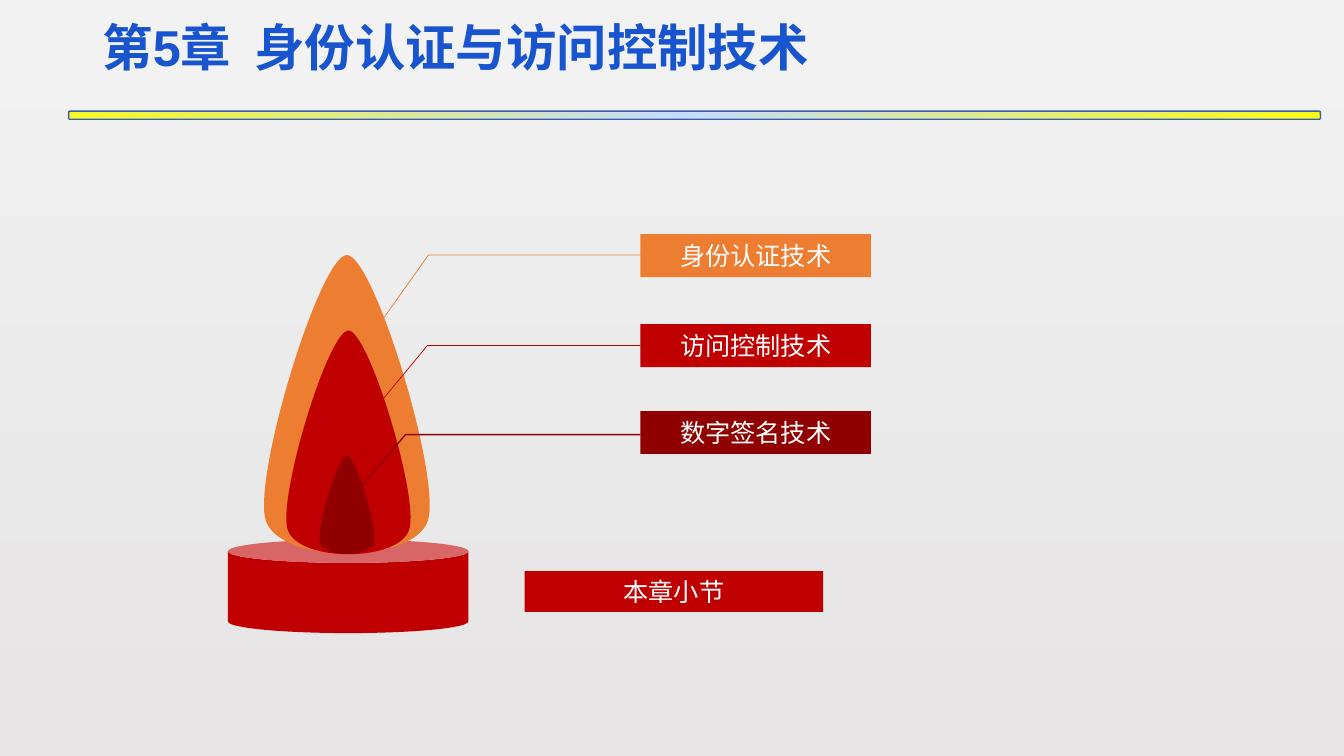
from dataclasses import dataclass

from lxml import etree
from pptx import Presentation
from pptx.dml.color import RGBColor
from pptx.enum.shapes import MSO_SHAPE
from pptx.enum.text import MSO_ANCHOR, PP_ALIGN
from pptx.oxml import parse_xml
from pptx.oxml.ns import nsdecls, qn
from pptx.util import Pt

RECTANGLE = MSO_SHAPE.RECTANGLE
ROUNDED = MSO_SHAPE.ROUNDED_RECTANGLE
CAN = MSO_SHAPE.CAN
MIDDLE = MSO_ANCHOR.MIDDLE
TOP = MSO_ANCHOR.TOP
LEFT = PP_ALIGN.LEFT
CENTER = PP_ALIGN.CENTER


@dataclass(frozen=True)
class Theme:
    """Colours, font and type sizes of the slide."""

    title: str = "1754CD"
    label: str = "FFFFFF"
    orange: str = "ED7D31"
    red: str = "C00000"
    dark_red: str = "900000"
    rule_line: str = "355CAD"
    rule_stops: tuple = ((0, "FBFB11"), (51, "C6DCFF"), (100, "F7F923"))
    backdrop: tuple = ("F2F2F2", "E6E4E4")
    font: str = "Arial"
    title_size: int = 36
    label_size: int = 18


THEME = Theme()
FLAME_WIDTH = 118.2
FLAME_HEIGHT = 213
FLAME_START = (-58, 189.4)
FLAME_CURVES = (
    ((-67.3, 157.7), (-19.1, 0), (0, 0)),
    ((19.1, 0), (67.3, 157.7), (58, 189.4)),
    ((48.2, 221), (-48.2, 221), FLAME_START),
)
FLAMES = (
    (247.8, 182.2, 1, THEME.orange),
    (248.9, 236.1, 0.75, THEME.red),
    (247.9, 325.4, 0.33, THEME.dark_red),
)
LEADERS = (
    ((274.3, 226.8), (306, 182.2), THEME.orange, 0.5),
    ((273.6, 285.1), (305.3, 246.8), THEME.red, 0.5),
    ((257.8, 347.8), (289.6, 310.5), THEME.dark_red, 1),
)
LABEL_LEFT = 457.5
LABELS = (
    ("身份认证技术", 167.3, THEME.orange),
    ("访问控制技术", 231.6, THEME.red),
    ("数字签名技术", 293.6, THEME.dark_red),
)


def apply_format(target, values):
    """Set each named attribute on the target."""
    for name, value in values.items():
        setattr(target, name, value)


def paint(shape, color):
    """Give a shape a flat fill with no outline or shadow."""
    shape.shadow.inherit = False
    shape.fill.solid()
    shape.fill.fore_color.rgb = RGBColor.from_string(color)
    shape.line.fill.background()


def write_text(shape, text, color, size, bold=False, align=CENTER, anchor=MIDDLE):
    """Put one formatted paragraph in a shape."""
    frame = shape.text_frame
    apply_format(frame, {"word_wrap": True, "vertical_anchor": anchor})
    para = frame.paragraphs[0]
    para.alignment = align
    span = para.add_run()
    span.text = text
    apply_format(span.font, {"name": THEME.font, "size": Pt(size), "bold": bold})
    span.font.color.rgb = RGBColor.from_string(color)


def add_block(slide, kind, left, top, width, height, color):
    """Add a flat preset shape."""
    block = slide.shapes.add_shape(kind, Pt(left), Pt(top), Pt(width), Pt(height))
    paint(block, color)
    return block


def add_label(slide, text, left, top, width, height, color, anchor=MIDDLE):
    """Add a coloured box with a centred label."""
    box = add_block(slide, RECTANGLE, left, top, width, height, color)
    write_text(box, text, THEME.label, THEME.label_size, anchor=anchor)


def add_outline(slide, points, close):
    """Add a freeform through points given in points of length."""
    corners = [(Pt(x), Pt(y)) for x, y in points]
    builder = slide.shapes.build_freeform(*corners[0])
    builder.add_line_segments(corners[1:], close=close)
    return builder.convert_to_shape()


def add_command(outline, name, points, scale):
    """Append a drawing command with flame points to an outline."""
    command = etree.SubElement(outline, qn(name))
    for x, y in points:
        across, down = Pt(scale * (x + FLAME_WIDTH / 2)), Pt(scale * y)
        etree.SubElement(command, qn("a:pt"), x=str(int(across)), y=str(int(down)))


def add_flame(slide, center, top, scale, color):
    """Add a curved flame of the given scale with its tip at center and top."""
    left, right = (center + side * scale * FLAME_WIDTH / 2 for side in (-1, 1))
    bottom = top + scale * FLAME_HEIGHT
    frame = ((left, top), (right, top), (right, bottom), (left, bottom))
    flame = add_outline(slide, frame, True)
    outline = flame._element.spPr.find(".//" + qn("a:path"))
    for command in list(outline):
        outline.remove(command)
    add_command(outline, "a:moveTo", (FLAME_START,), scale)
    for curve in FLAME_CURVES:
        add_command(outline, "a:cubicBezTo", curve, scale)
    add_command(outline, "a:close", (), scale)
    paint(flame, color)


def add_leader(slide, start, bend, color, weight):
    """Add a bent line from a flame to its label."""
    leader = add_outline(slide, (start, bend, (LABEL_LEFT, bend[1])), False)
    leader.shadow.inherit = False
    leader.fill.background()
    leader.line.color.rgb = RGBColor.from_string(color)
    leader.line.width = Pt(weight)


def add_title_rule(slide):
    """Add the gradient bar under the title."""
    bar = add_block(slide, ROUNDED, 49, 79.4, 894.2, 5.8, THEME.rule_stops[0][1])
    bar.line.color.rgb = RGBColor.from_string(THEME.rule_line)
    bar.line.width = Pt(1)
    gradient = parse_xml(
        f'<a:gradFill {nsdecls("a")} rotWithShape="1"><a:gsLst/><a:path path="circle">'
        '<a:fillToRect l="100000" t="100000"/></a:path></a:gradFill>'
    )
    for position, color in THEME.rule_stops:
        stop = etree.SubElement(gradient[0], qn("a:gs"), pos=str(position * 1000))
        etree.SubElement(stop, qn("a:srgbClr"), val=color)
    properties = bar._element.spPr
    properties.replace(properties.find(qn("a:solidFill")), gradient)


def add_title(slide, text):
    """Add the chapter title."""
    box = slide.shapes.add_textbox(Pt(66.2), Pt(4.5), Pt(828), Pt(62.6))
    write_text(box, text, THEME.title, THEME.title_size, bold=True, align=LEFT)
    box.text_frame.paragraphs[0].line_spacing = 0.9


def set_backdrop(slide):
    """Fill the slide background from top to bottom."""
    fill = slide.background.fill
    fill.gradient()
    fill.gradient_angle = 270
    for position, (stop, color) in enumerate(zip(fill.gradient_stops, THEME.backdrop)):
        stop.position = position
        stop.color.rgb = RGBColor.from_string(color)


def main():
    """Build the chapter slide and save it."""
    deck = Presentation()
    apply_format(deck, {"slide_width": Pt(960), "slide_height": Pt(540)})
    slide = deck.slides.add_slide(deck.slide_layouts[6])
    set_backdrop(slide)
    add_title_rule(slide)
    add_title(slide, "第5章  身份认证与访问控制技术")
    add_block(slide, CAN, 162.8, 385.4, 171.8, 66.8, THEME.red)
    for flame in FLAMES:
        add_flame(slide, *flame)
    for leader in LEADERS:
        add_leader(slide, *leader)
    for text, top, color in LABELS:
        add_label(slide, text, LABEL_LEFT, top, 164.7, 30.7, color)
    add_label(slide, "本章小节", 374.7, 407.9, 213.2, 29.1, THEME.red, anchor=TOP)
    deck.save("out.pptx")


if __name__ == "__main__":
    main()
